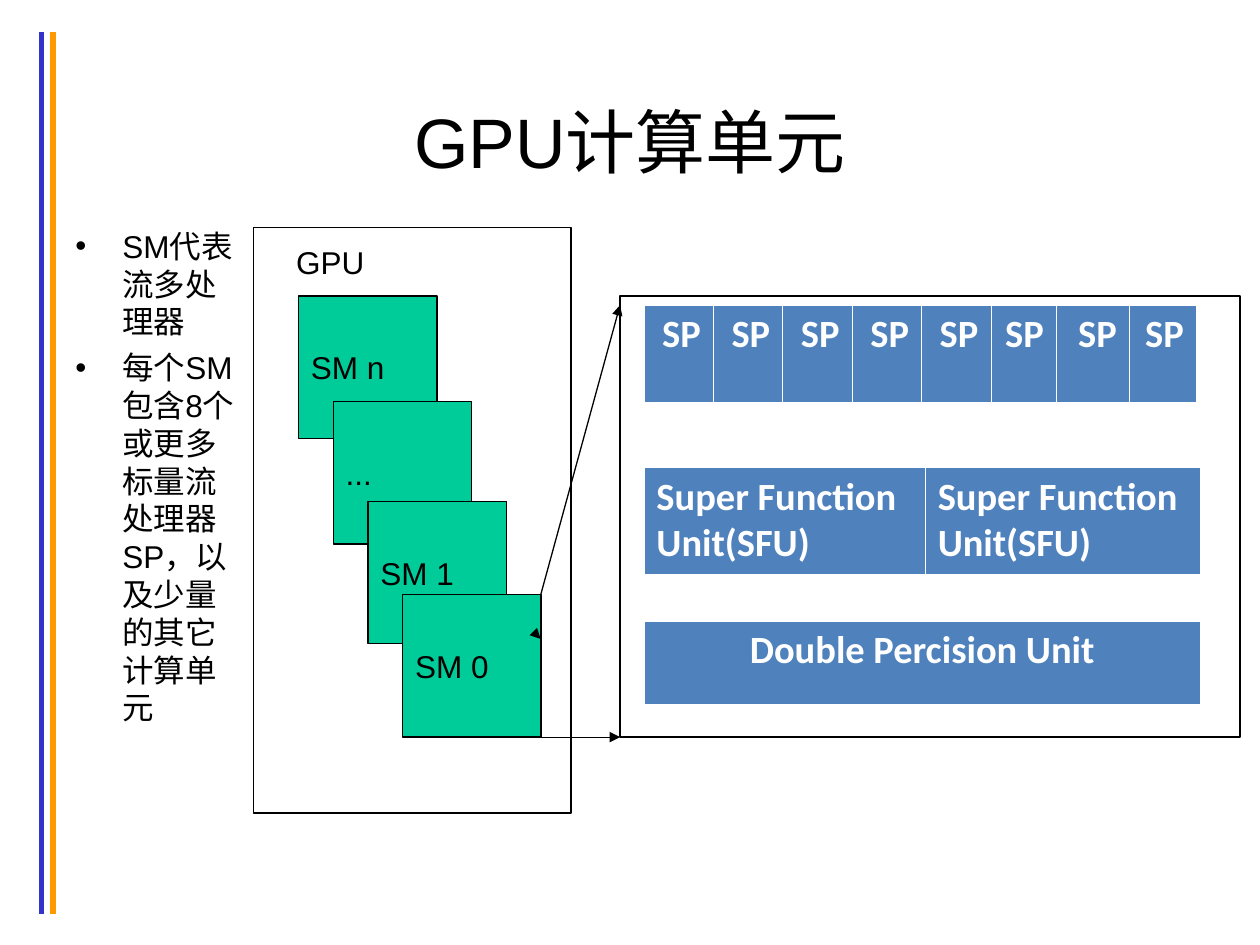
from lxml import etree
from pptx import Presentation, util as u
from pptx.dml.color import RGBColor
from pptx.enum import shapes, text
from pptx.oxml import ns

BLACK, WHITE, GREEN, BLUE = "000000", "FFFFFF", "00CC99", "4F81BD"


def color(hex_string):
    """Return the colour of a hex string."""
    return RGBColor.from_string(hex_string)


def add_element(parent, tag, **attributes):
    """Append a drawing element to its parent."""
    return etree.SubElement(parent, ns.qn(tag), attributes)


class Page:
    """Holds the style and the current slide."""

    font, size = "Arial", 18
    cell_font, cell_size = "Calibri", 22

    def __init__(self, slide):
        """Keep the slide to draw on."""
        self.slide = slide

    def add_words(self, paragraph, words, size=size, font=font, ink=BLACK, bold=False,
                  align=text.PP_ALIGN.LEFT):
        """Add one formatted run to a paragraph."""
        paragraph.alignment = align
        run = paragraph.add_run()
        run.text = words
        run.font.name, run.font.size, run.font.bold = font, u.Pt(size), bold
        run.font.color.rgb = color(ink)

    def title(self, words, *place):
        """Place and fill the title."""
        heading = self.slide.shapes.title
        heading.left, heading.top, heading.width, heading.height = map(u.Cm, place)
        frame = heading.text_frame
        frame.auto_size = text.MSO_AUTO_SIZE.NONE
        frame.vertical_anchor = text.MSO_ANCHOR.MIDDLE
        self.add_words(frame.paragraphs[0], words, size=40, align=text.PP_ALIGN.CENTER)

    def label(self, words, *place):
        """Add a wrapping text box and return its frame."""
        frame = self.slide.shapes.add_textbox(*map(u.Cm, place)).text_frame
        frame.word_wrap = True
        if words:
            self.add_words(frame.paragraphs[0], words)
        return frame

    def bullets(self, points, *place):
        """Add a bulleted list."""
        frame = self.label("", *place)
        for number, point in enumerate(points):
            paragraph = frame.add_paragraph() if number else frame.paragraphs[0]
            properties = paragraph._p.get_or_add_pPr()
            properties.set("marL", str(u.Cm(0.95)))
            properties.set("indent", str(u.Cm(-0.95)))
            add_element(add_element(properties, "a:buClr"), "a:srgbClr", val=BLACK)
            add_element(properties, "a:buFont", typeface=self.font)
            add_element(properties, "a:buChar", char="•")
            if number:
                paragraph.space_before = u.Pt(4.5)
            self.add_words(paragraph, point)

    def box(self, *place, fill=None, words=None):
        """Add an outlined rectangle."""
        box = self.slide.shapes.add_shape(shapes.MSO_SHAPE.RECTANGLE, *map(u.Cm, place))
        box.shadow.inherit = False
        box.line.color.rgb, box.line.width = color(BLACK), u.Pt(0.75)
        if fill:
            box.fill.solid()
            box.fill.fore_color.rgb = color(fill)
        else:
            box.fill.background()
        if words:
            box.text_frame.word_wrap = False
            box.text_frame.vertical_anchor = text.MSO_ANCHOR.MIDDLE
            self.add_words(box.text_frame.paragraphs[0], words)

    def line(self, *ends, ink=BLACK, width=0.75, arrow=False):
        """Add a straight line, with an arrowhead if asked."""
        line = self.slide.shapes.add_connector(shapes.MSO_CONNECTOR.STRAIGHT, *map(u.Cm, ends))
        line.line.color.rgb, line.line.width = color(ink), u.Pt(width)
        if arrow:
            add_element(line.line._get_or_add_ln(), "a:tailEnd", type="triangle")
        add_element(line._element.spPr, "a:effectLst")

    def units(self, words, widths, left, top, height, align):
        """Add a one-row table of equal units."""
        table = self.slide.shapes.add_table(
            1, len(widths), *map(u.Cm, (left, top, sum(widths), height))).table
        for column, width in zip(table.columns, widths):
            column.width = u.Cm(width)
        for cell in table.iter_cells():
            properties = cell._tc.get_or_add_tcPr()
            for side in "LRTB":
                border = add_element(properties, f"a:ln{side}", w=str(u.Pt(0.45)))
                add_element(add_element(border, "a:solidFill"), "a:srgbClr", val=WHITE)
            cell.fill.solid()
            cell.fill.fore_color.rgb = color(BLUE)
            self.add_words(cell.text_frame.paragraphs[0], words, self.cell_size,
                           self.cell_font, WHITE, True, align)


def main():
    """Build and save the slide."""
    deck = Presentation()
    deck.slide_width, deck.slide_height = u.Cm(25.4), u.Cm(19.05)
    page = Page(deck.slides.add_slide(deck.slide_layouts[5]))

    for x, ink in ((0.84, "3333CC"), (1.07, "FF9900")):
        page.line(x, 0.64, x, 18.42, ink=ink, width=3)
    page.title("GPU计算单元", 1.27, 1.42, 22.86, 2.82)
    page.bullets(("SM代表流多处理器",
                  "每个SM包含8个或更多标量流处理器SP，以及少量的其它计算单元"),
                 1.27, 4.45, 3.84, 12.57)

    page.box(5.11, 4.58, 6.4, 11.81)
    page.box(12.5, 5.97, 12.5, 8.89)
    for step, (name, top) in enumerate(
            (("SM n", 5.97), ("...", 8.1), ("SM 1", 10.11), ("SM 0", 11.99))):
        page.box(6.02 + 0.7 * step, top, 2.79, 2.87, fill=GREEN, words=name)
    page.label("GPU", 5.72, 4.78, 2.39, 1.02)

    align = text.PP_ALIGN
    unit_left = 12.98
    page.units("SP", [1.4] * 5 + [1.32, 1.47, 1.35], unit_left, 6.15, 1.96, align.RIGHT)
    page.units("Super Function Unit(SFU)", [5.67, 5.55], unit_left, 9.42, 2.16, align.LEFT)
    page.units("Double Percision Unit", [11.22], unit_left, 12.52, 1.68, align.CENTER)

    sm_right, detail_left = 10.9, 12.5
    page.line(10.88, 12.86, sm_right, 12.88, arrow=True)
    page.line(sm_right, 11.99, detail_left, 6.15, arrow=True)
    page.line(sm_right, 14.86, detail_left, 14.86, arrow=True)
    deck.save("out.pptx")


if __name__ == "__main__":
    main()
